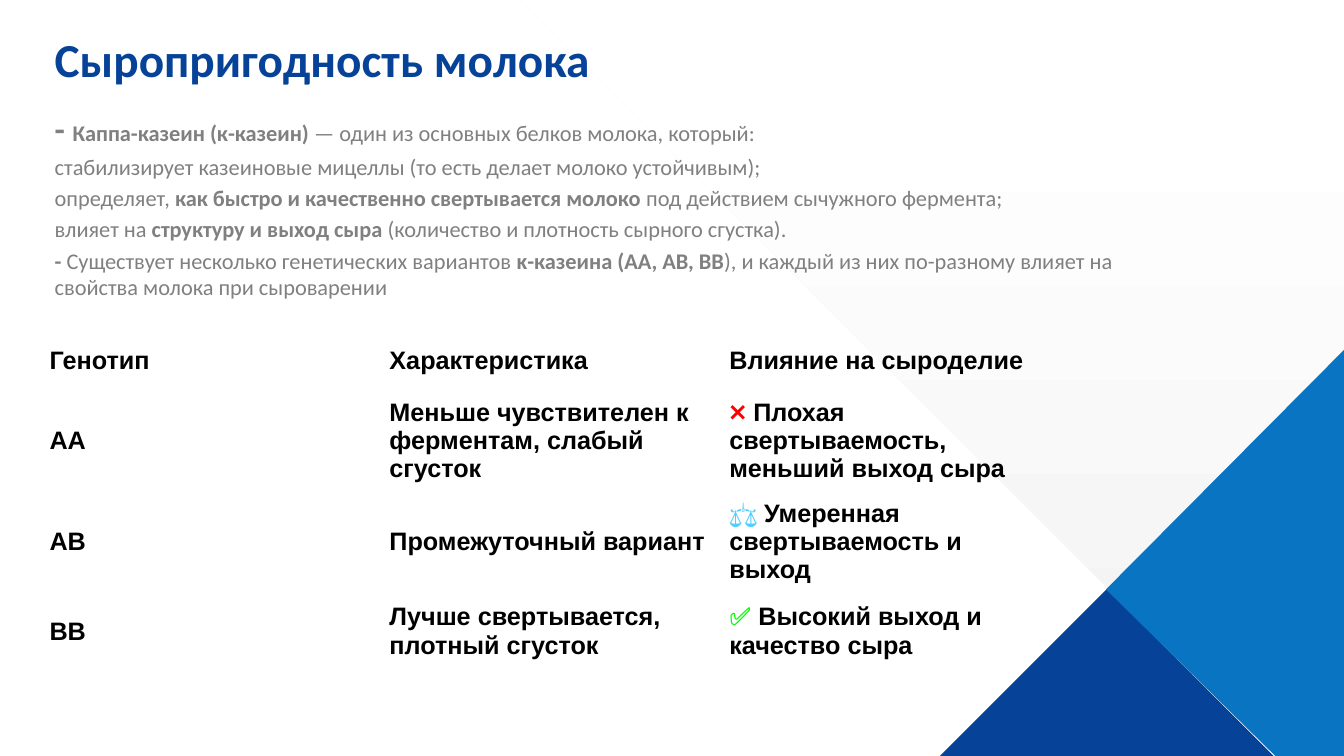
"""Build a slide on how kappa-casein genotypes affect the cheese suitability of milk."""
from pptx import Presentation
from pptx.dml.color import RGBColor
from pptx.enum.shapes import MSO_SHAPE
from pptx.enum.text import MSO_ANCHOR
from pptx.util import Pt

RIGHT_TRIANGLE = MSO_SHAPE.RIGHT_TRIANGLE
MIDDLE = MSO_ANCHOR.MIDDLE
NO_STYLE = "{2D5ABB26-0587-4C30-8999-92F81FD0307C}"
COLOURS = {
    "navy": "064398",
    "blue": "0974C2",
    "pale": "F2F2F2",
    "white": "FFFFFF",
    "grey": "808080",
    "black": "000000",
    "red": "FF0000",
    "sky": "4FCEFF",
    "green": "00FF00",
}


def add_run(paragraph, text, font_name, size, colour, bold=True):
    run = paragraph.add_run()
    run.text = text
    run.font.name = font_name
    run.font.size = Pt(size)
    run.font.bold = bold
    run.font.color.rgb = RGBColor.from_string(COLOURS[colour])


def add_polygon(shapes, points):
    builder = shapes.build_freeform(*points[0], scale=Pt(1))
    builder.add_line_segments(points[1:], close=True)
    shape = builder.convert_to_shape()
    shape.shadow.inherit = False
    shape.line.fill.background()
    return shape


presentation = Presentation()
presentation.slide_width = Pt(960)
presentation.slide_height = Pt(540)
slide = presentation.slides.add_slide(presentation.slide_layouts[6])
shapes = slide.shapes

pale_panel = add_polygon(shapes, [(371, 0), (960, 0), (960, 540), (911, 540)])
pale_panel.fill.gradient()
pale_panel.fill.gradient_angle = 90
for stop, position, colour in zip(pale_panel.fill.gradient_stops, (0, 0.87), ("pale", "white")):
    stop.position = position
    stop.color.rgb = RGBColor.from_string(COLOURS[colour])

navy_corner = shapes.add_shape(RIGHT_TRIANGLE, Pt(705.5), Pt(456), Pt(170), Pt(170))
navy_corner.rotation = 135
navy_corner.shadow.inherit = False
navy_corner.fill.solid()
navy_corner.fill.fore_color.rgb = RGBColor.from_string(COLOURS["navy"])
navy_corner.line.fill.background()

blue_corner = add_polygon(shapes, [(790, 421), (960, 249.5), (960, 540), (911, 540)])
blue_corner.fill.solid()
blue_corner.fill.fore_color.rgb = RGBColor.from_string(COLOURS["blue"])

title = shapes.add_textbox(Pt(32), Pt(18), Pt(872), Pt(68))
title.text_frame.word_wrap = True
add_run(title.text_frame.paragraphs[0], "Сыропригодность молока", "Calibri", 33.8, "navy")

body_lines = [
    [("- ", 24, True), ("Каппа-казеин (к-казеин) ", 16, True),
     ("— один из основных белков молока, который:", 16, False)],
    [("стабилизирует казеиновые мицеллы (то есть делает молоко устойчивым);", 16, False)],
    [("определяет, ", 16, False),
     ("как быстро и качественно свертывается молоко", 16, True),
     (" под действием сычужного фермента;", 16, False)],
    [("влияет на ", 16, False), ("структуру и выход сыра", 16, True),
     (" (количество и плотность сырного сгустка).", 16, False)],
    [("-", 16, True), (" Существует несколько генетических вариантов ", 16, False),
     ("κ-казеина (AA, AB, BB", 16, True),
     ("), и каждый из них по-разному влияет на свойства молока при сыроварении", 16, False)],
]
body = shapes.add_textbox(Pt(32), Pt(73.5), Pt(800), Pt(397))
body.text_frame.word_wrap = True
for index, line in enumerate(body_lines):
    paragraph = body.text_frame.paragraphs[0] if index == 0 else body.text_frame.add_paragraph()
    paragraph.space_before = Pt(3.2)
    for text, size, bold in line:
        add_run(paragraph, text, "Calibri", size, "grey", bold)

table_rows = [
    ["Генотип", "Характеристика", [("Влияние на сыроделие", "black")]],
    ["AA", "Меньше чувствителен к ферментам, слабый сгусток",
     [("❌", "red"), (" Плохая свертываемость, меньший выход сыра", "black")]],
    ["AB", "Промежуточный вариант",
     [("⚖ ", "sky"), ("Умеренная свертываемость и выход", "black")]],
    ["BB", "Лучше свертывается, плотный сгусток",
     [("✅", "green"), (" Высокий выход и качество сыра", "black")]],
]
column_widths = [242.8, 242.8, 233.4]
row_heights = [41.8, 71.3, 56.2, 56.2]
frame = shapes.add_table(4, 3, Pt(28.2), Pt(237), Pt(sum(column_widths)), Pt(sum(row_heights)))
table = frame.table
table.first_row = False
table.horz_banding = False
for style in frame.element.xpath(".//a:tableStyleId"):
    style.text = NO_STYLE
for column, width in zip(table.columns, column_widths):
    column.width = Pt(width)
for row, height, (genotype, trait, effect) in zip(table.rows, row_heights, table_rows):
    row.height = Pt(height)
    for cell, parts in zip(row.cells, ([(genotype, "black")], [(trait, "black")], effect)):
        cell.fill.background()
        cell.vertical_anchor = MIDDLE
        for text, colour in parts:
            add_run(cell.text_frame.paragraphs[0], text, "Arial", 18, colour)

presentation.save("out.pptx")
